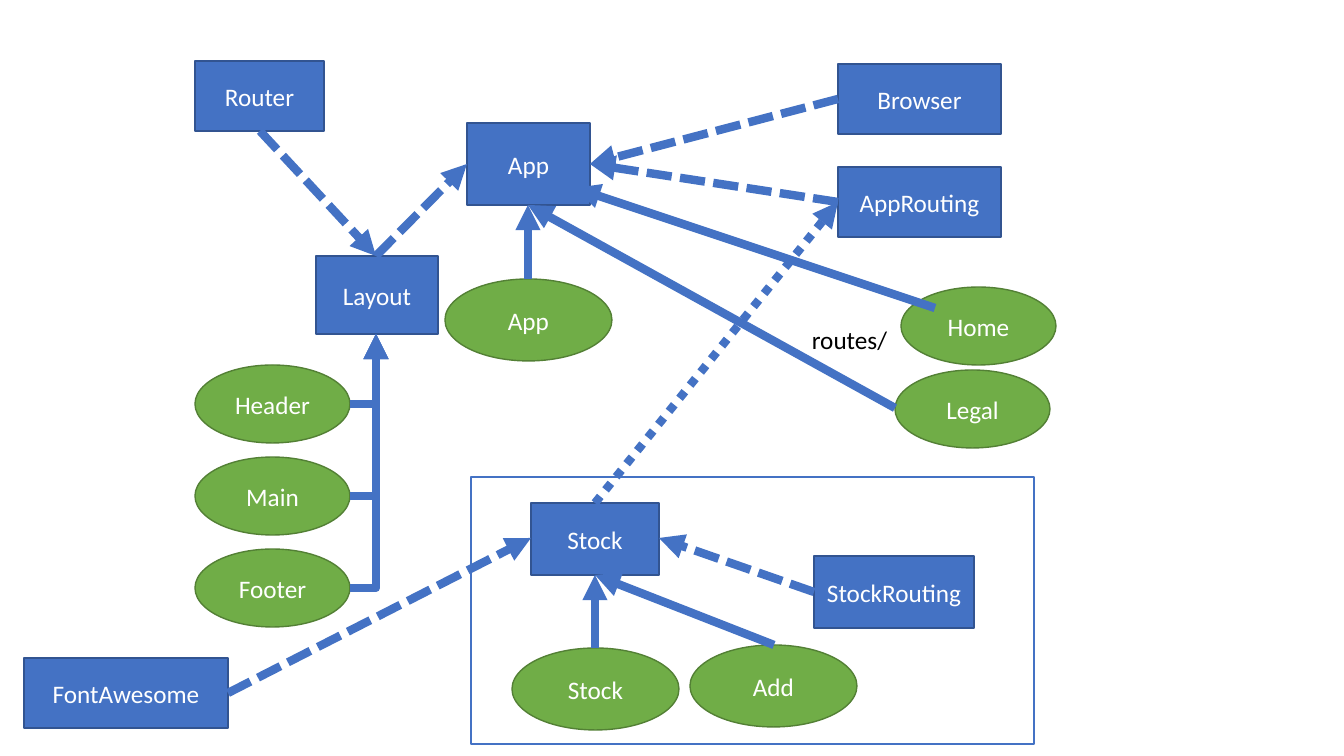
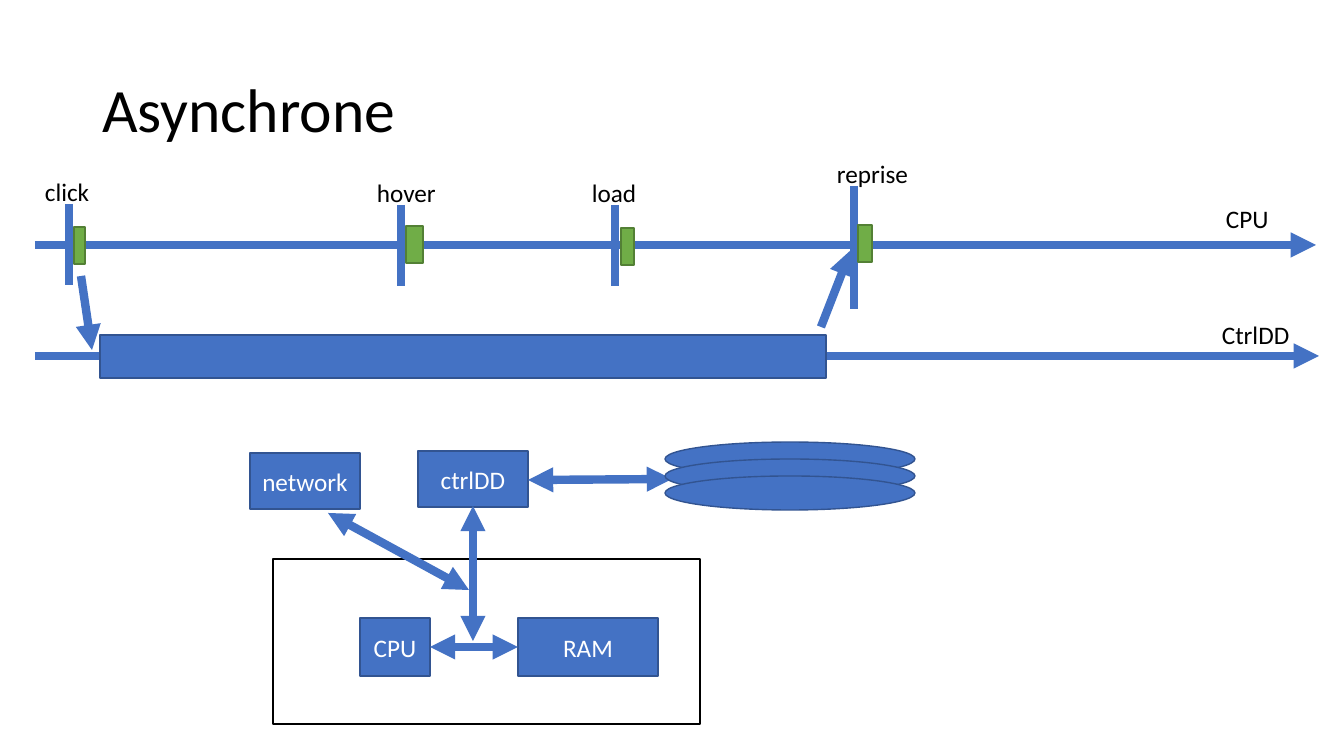
"""Builds two diagrams: an application's module tree and an asynchronous timeline."""
from lxml import etree
from pptx import Presentation
from pptx import util as u
from pptx.dml.color import RGBColor
from pptx.enum import dml, shapes, text
from pptx.oxml.ns import qn

PX = 914400 / 100.8
FONT = "Calibri"
BLUE = RGBColor(0x44, 0x72, 0xC4)
NAVY = RGBColor(0x32, 0x54, 0x91)
GREEN = RGBColor(0x70, 0xAD, 0x47)
FOREST = RGBColor(0x53, 0x80, 0x35)
WHITE = RGBColor(0xFF, 0xFF, 0xFF)
BLACK = RGBColor(0x00, 0x00, 0x00)

RECT = shapes.MSO_SHAPE.RECTANGLE
OVAL = shapes.MSO_SHAPE.OVAL
DASH = dml.MSO_LINE.SQUARE_DOT
DOTS = dml.MSO_LINE.ROUND_DOT
MODULE = {"fill": BLUE, "edge": NAVY}
COMPONENT = {"fill": GREEN, "edge": FOREST}
LABEL = {"color": BLACK, "align": text.PP_ALIGN.LEFT,
         "anchor": text.MSO_ANCHOR.TOP, "wrap": False}


def dress(shape, words, at, fill=None, edge=None, color=WHITE, size=18, spacing=1.0,
          align=text.PP_ALIGN.CENTER, anchor=text.MSO_ANCHOR.MIDDLE, wrap=True):
    shape.left, shape.top, shape.width, shape.height = [round(n * PX) for n in at]
    shape.shadow.inherit = False
    if fill is not None:
        shape.fill.solid()
        shape.fill.fore_color.rgb = fill
        shape.line.color.rgb = edge
        shape.line.width = u.Pt(1)
    if words:
        frame = shape.text_frame
        frame.text = words
        frame.word_wrap = wrap
        frame.vertical_anchor = anchor
        frame.auto_size = (text.MSO_AUTO_SIZE.NONE if wrap
                           else text.MSO_AUTO_SIZE.SHAPE_TO_FIT_TEXT)
        paragraph = frame.paragraphs[0]
        paragraph.alignment = align
        paragraph.line_spacing = spacing
        paragraph.font.name = FONT
        paragraph.font.size = u.Pt(size)
        paragraph.font.color.rgb = color


def link(slide, ends, dash=None, heads=("tailEnd",), bent=False):
    kind = shapes.MSO_CONNECTOR.ELBOW if bent else shapes.MSO_CONNECTOR.STRAIGHT
    line = slide.shapes.add_connector(kind, *[round(n * PX) for n in ends])
    line.line.color.rgb = BLUE
    line.line.width = u.Pt(6)
    if dash is not None:
        line.line.dash_style = dash
    properties = line.element.spPr
    if bent:
        properties.find(qn("a:prstGeom")).set("prst", "bentConnector2")
    for head in heads:
        etree.SubElement(properties.find(qn("a:ln")), qn("a:" + head), type="triangle")
    etree.SubElement(properties, qn("a:effectLst"))


BOTH = ("headEnd", "tailEnd")

deck = Presentation()
deck.slide_width = round(1344 * PX)
deck.slide_height = round(756 * PX)

tree = deck.slides.add_slide(deck.slide_layouts[6])
dress(tree.shapes.add_shape(RECT, 0, 0, 0, 0), "", (471, 477, 563, 267),
      fill=WHITE, edge=BLUE)

for name, at in [
    ("App", (467, 123, 123, 82)),
    ("Browser", (838, 64, 163, 70)),
    ("AppRouting", (838, 167, 163, 70)),
    ("Layout", (316, 256, 122, 78)),
    ("Router", (195, 61, 129, 70)),
    ("Stock", (531, 503, 128, 72)),
    ("StockRouting", (814, 556, 160, 72)),
    ("FontAwesome", (24, 658, 204, 70)),
]:
    dress(tree.shapes.add_shape(RECT, 0, 0, 0, 0), name, at, **MODULE)

for name, at in [
    ("App", (445, 279, 167, 82)),
    ("Home", (901, 287, 155, 78)),
    ("Legal", (895, 370, 155, 78)),
    ("Stock", (512, 648, 167, 82)),
    ("Add", (690, 645, 167, 82)),
]:
    dress(tree.shapes.add_shape(OVAL, 0, 0, 0, 0), name, at, **COMPONENT)

for row, name in enumerate(["Header", "Main", "Footer"]):
    top = 365 + 92 * row
    dress(tree.shapes.add_shape(OVAL, 0, 0, 0, 0), name, (195, top, 155, 78), **COMPONENT)
    link(tree, (350, top + 39, 376, 334), bent=True)

dress(tree.shapes.add_textbox(0, 0, 0, 0), "routes/", (802, 319, 97, 40), **LABEL)

for ends, dash in [
    ((528, 279, 528, 205), None),
    ((838, 99, 590, 164), DASH),
    ((838, 202, 590, 164), DASH),
    ((376, 256, 467, 164), DASH),
    ((935, 308, 575, 188), None),
    ((895, 408, 528, 205), None),
    ((260, 131, 376, 256), DASH),
    ((814, 592, 659, 538), DASH),
    ((595, 648, 595, 575), None),
    ((595, 503, 838, 202), DOTS),
    ((774, 645, 595, 575), None),
    ((228, 693, 531, 538), DASH),
]:
    link(tree, ends, dash=dash)

timeline = deck.slides.add_slide(deck.slide_layouts[5])
dress(timeline.shapes.title, "Asynchrone", (92, 40, 1159, 146), color=BLACK, size=44,
      spacing=0.9, align=text.PP_ALIGN.LEFT)

for name, right, height, at in [
    ("CPU", 1316, 245, (1216, 198, 64, 40)),
    ("CtrlDD", 1319, 356, (1212, 314, 89, 40)),
]:
    link(timeline, (35, height, right, height))
    dress(timeline.shapes.add_textbox(0, 0, 0, 0), name, at, **LABEL)

dress(timeline.shapes.add_shape(RECT, 0, 0, 0, 0), "", (100, 335, 726, 43), **MODULE)
link(timeline, (81, 276, 92, 350))
link(timeline, (821, 327, 851, 250))

for event, tick, top, bottom, task, label in [
    ("click", 69, 204, 285, (74, 227, 11, 37), (35, 171, 66, 40)),
    ("hover", 401, 205, 286, (406, 226, 17, 37), (367, 172, 80, 40)),
    ("load", 615, 205, 286, (621, 228, 13, 37), (582, 172, 66, 40)),
    ("reprise", 854, 186, 309, (858, 225, 14, 37), (827, 153, 93, 40)),
]:
    link(timeline, (tick, top, tick, bottom), heads=())
    dress(timeline.shapes.add_shape(RECT, 0, 0, 0, 0), "", task, **COMPONENT)
    dress(timeline.shapes.add_textbox(0, 0, 0, 0), event, label, **LABEL)

dress(timeline.shapes.add_shape(RECT, 0, 0, 0, 0), "", (273, 559, 427, 165),
      fill=WHITE, edge=BLACK)

for name, at in [
    ("CPU", (360, 618, 70, 58)),
    ("RAM", (518, 618, 140, 58)),
    ("ctrlDD", (418, 451, 110, 56)),
    ("network", (250, 453, 110, 56)),
]:
    dress(timeline.shapes.add_shape(RECT, 0, 0, 0, 0), name, at, **MODULE)

for ends in [
    (430, 647, 518, 647),
    (473, 641, 473, 506),
    (528, 480, 672, 479),
    (469, 590, 328, 513),
]:
    link(timeline, ends, heads=BOTH)

for disk in range(3):
    dress(timeline.shapes.add_shape(OVAL, 0, 0, 0, 0), "",
          (665, 442 + 17 * disk, 250, 34), **MODULE)

deck.save("out.pptx")
